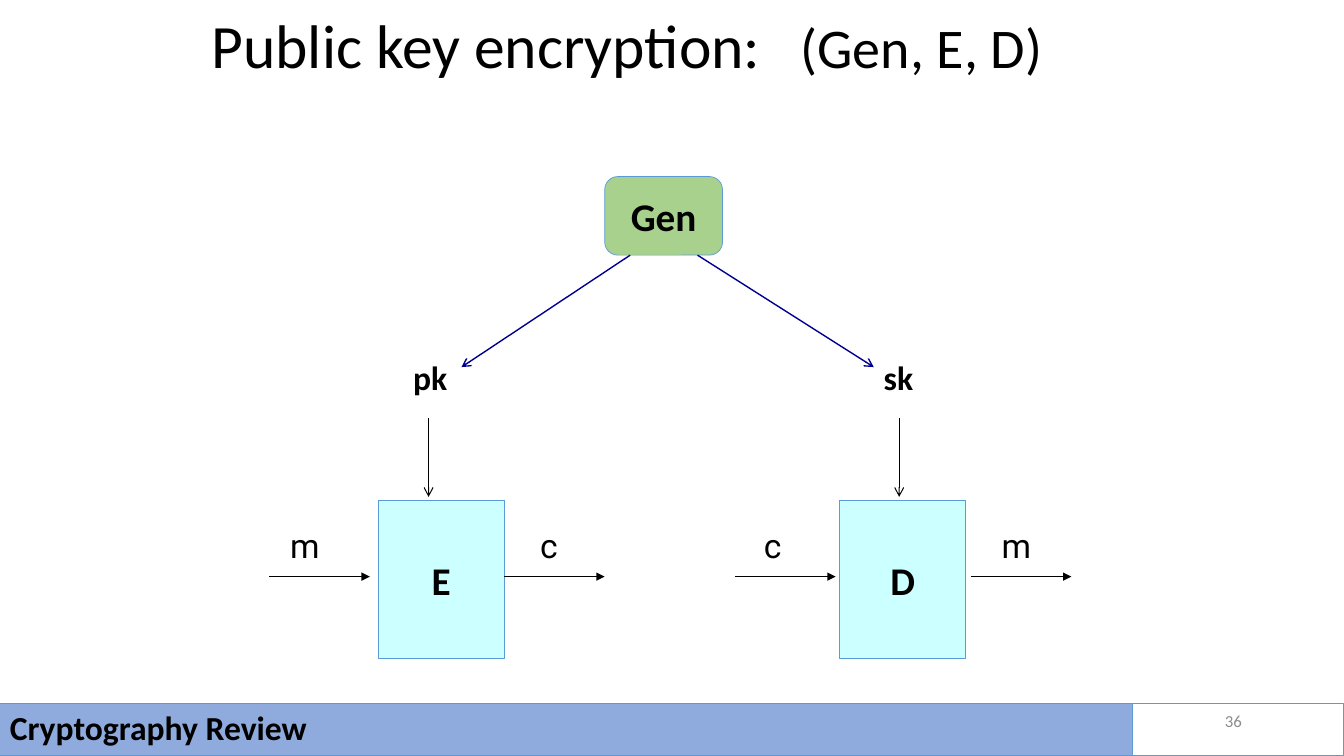
from lxml.etree import SubElement
from pptx import Presentation
from pptx.dml.color import RGBColor
from pptx.enum.shapes import MSO_CONNECTOR, MSO_SHAPE
from pptx.enum.text import MSO_ANCHOR, MSO_AUTO_SIZE, PP_ALIGN
from pptx.oxml.ns import qn
from pptx.util import Cm, Pt

COLORS = {
    "black": "000000",
    "cyan": "CCFFFF",
    "green": "A9D18E",
    "band": "8FAADC",
    "outline": "5B9BD5",
    "navy": "000090",
    "gray": "8C8C8C",
}


class Deck:
    def __init__(self, prs):
        self.slide = prs.slides.add_slide(prs.slide_layouts[6])
        self.font = "Calibri"

    def color(self, name):
        return RGBColor.from_string(COLORS[name])

    def style(self, font, size, color="black", bold=False, name=None):
        font.name = name or self.font
        font.size = Pt(size)
        font.bold = bold
        font.color.rgb = self.color(color)

    def box(self, x, y, w, h, text="", fill=None, size=28, width=0.5,
            kind=MSO_SHAPE.RECTANGLE, align=PP_ALIGN.CENTER):
        sp = self.slide.shapes.add_shape(kind, Cm(x), Cm(y), Cm(w), Cm(h))
        sp.shadow.inherit = False
        if fill:
            sp.fill.solid()
            sp.fill.fore_color.rgb = self.color(fill)
        else:
            sp.fill.background()
        sp.line.color.rgb = self.color("outline")
        sp.line.width = Pt(width)
        if text:
            tf = sp.text_frame
            tf.vertical_anchor = MSO_ANCHOR.MIDDLE
            p = tf.paragraphs[0]
            p.text = text
            p.alignment = align
            self.style(p.font, size, bold=True)
        return sp

    def text(self, x, y, w, h, text, size=24, color="black", bold=False,
             name=None, align=PP_ALIGN.LEFT, anchor=MSO_ANCHOR.TOP, wrap=False):
        sp = self.slide.shapes.add_textbox(Cm(x), Cm(y), Cm(w), Cm(h))
        tf = sp.text_frame
        tf.word_wrap = wrap
        tf.auto_size = MSO_AUTO_SIZE.NONE if wrap else MSO_AUTO_SIZE.SHAPE_TO_FIT_TEXT
        tf.vertical_anchor = anchor
        p = tf.paragraphs[0]
        p.text = text
        p.alignment = align
        self.style(p.font, size, color, bold, name)

    def title(self, x, y, w, h, parts, tab):
        sp = self.slide.shapes.add_textbox(Cm(x), Cm(y), Cm(w), Cm(h))
        tf = sp.text_frame
        tf.word_wrap = True
        tf.vertical_anchor = MSO_ANCHOR.MIDDLE
        p = tf.paragraphs[0]
        p.line_spacing = 0.9
        tabs = SubElement(p._p.get_or_add_pPr(), qn("a:tabLst"))
        SubElement(tabs, qn("a:tab"), pos=str(Cm(tab)), algn="l")
        for text, size in parts:
            r = p.add_run()
            r.text = text
            self.style(r.font, size)

    def arrow(self, x1, y1, x2, y2, head="arrow", color="black", width=0.75):
        line = self.slide.shapes.add_connector(
            MSO_CONNECTOR.STRAIGHT, Cm(x1), Cm(y1), Cm(x2), Cm(y2))
        line.line.color.rgb = self.color(color)
        line.line.width = Pt(width)
        SubElement(line.line._get_or_add_ln(), qn("a:tailEnd"), type=head)
        SubElement(line._element.spPr, qn("a:effectLst"))


def main():
    prs = Presentation()
    prs.slide_width, prs.slide_height = Cm(33.87), Cm(19.05)
    deck = Deck(prs)

    deck.title(5.08, -0.36, 24.13, 3.18,
               [("Public key encryption:\t", 44), ("(Gen, E, D)", 40)], tab=14.85)

    deck.box(15.24, 4.45, 2.97, 1.98, "Gen", "green", kind=MSO_SHAPE.ROUNDED_RECTANGLE)
    for start, end in ((15.88, 11.63), (17.58, 22.02)):
        deck.arrow(start, 6.43, end, 9.25, color="navy", width=1)

    for name, box_x, key, key_x, key_w, arrow_x in (
        ("E", 9.53, "pk", 10.16, 1.37, 10.8),
        ("D", 21.16, "sk", 22.02, 1.27, 22.66),
    ):
        deck.box(box_x, 12.62, 3.18, 3.96, name, "cyan")
        deck.text(key_x, 8.86, key_w, 1.27, key, bold=True)
        deck.arrow(arrow_x, 10.54, arrow_x, 12.52)

    for label, label_x, label_w, arrow_x in (
        ("m", 7.06, 1.22, 6.78),
        ("c", 13.36, 0.91, 12.7),
        ("c", 19.0, 0.91, 18.52),
        ("m", 24.99, 1.22, 24.46),
    ):
        deck.text(label_x, 13.11, label_w, 1.27, label, name="Roboto", align=PP_ALIGN.CENTER)
        deck.arrow(arrow_x, 14.53, arrow_x + 2.54, 14.53, head="triangle")

    footer = deck.box(0, 17.73, 28.55, 1.32, "Cryptography Review", "band",
                      size=24, width=0.75, align=PP_ALIGN.LEFT)
    footer.text_frame.paragraphs[0].line_spacing = 0.9
    deck.box(28.55, 17.73, 5.32, 1.32, width=0.75)
    deck.text(23.93, 17.65, 7.62, 1.02, "36", size=12, color="gray",
              align=PP_ALIGN.RIGHT, anchor=MSO_ANCHOR.MIDDLE, wrap=True)

    prs.save("out.pptx")


if __name__ == "__main__":
    main()
